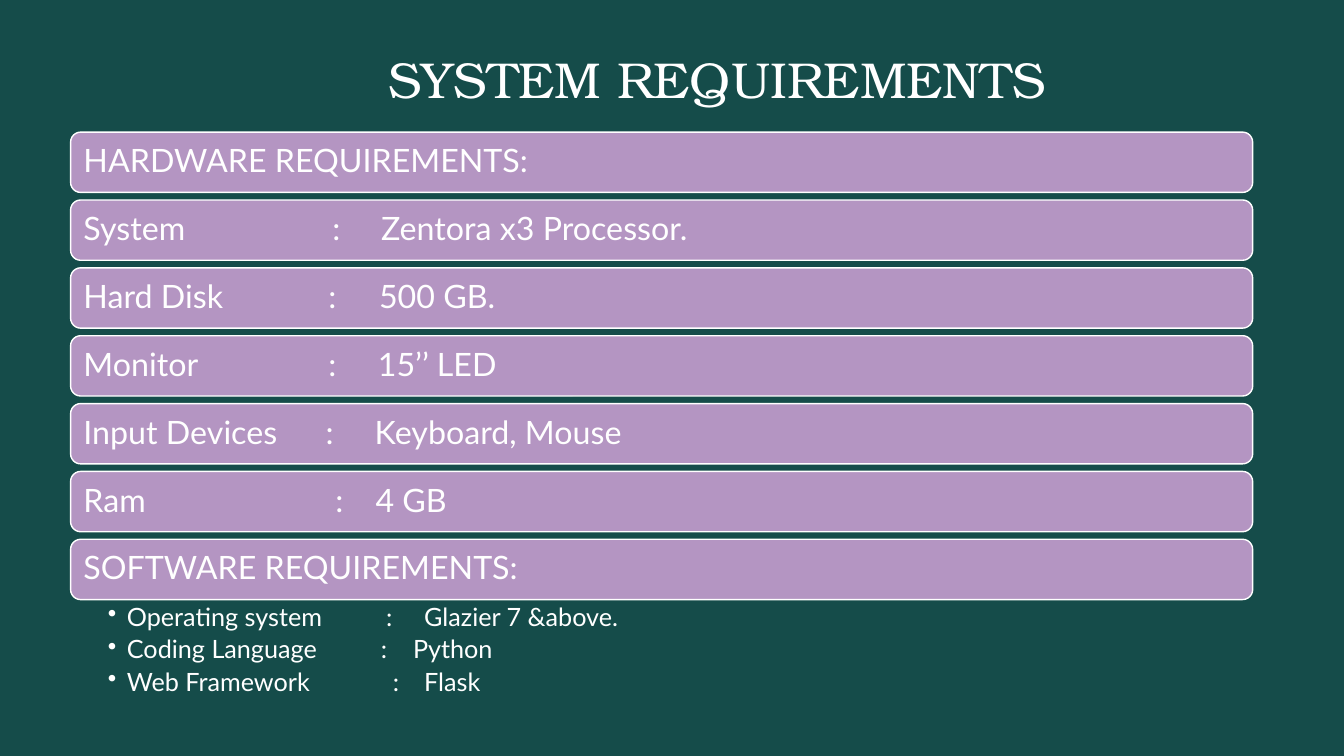
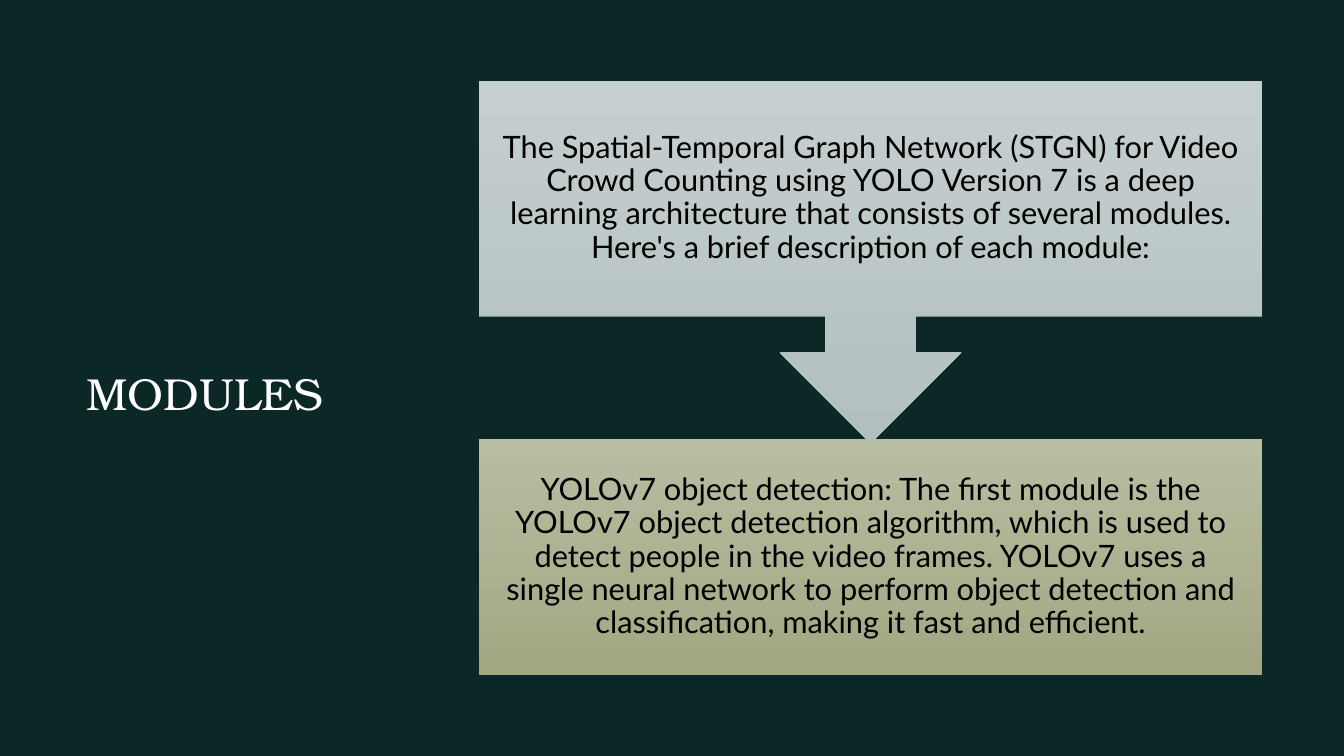
"""Build two slides: system requirements and modules."""
import pptx
import pptx.util
import pptx.dml.color
import pptx.enum.shapes
import pptx.enum.text
import lxml.etree

Cm, Pt = pptx.util.Cm, pptx.util.Pt
RGB = pptx.dml.color.RGBColor.from_string
SHAPE = pptx.enum.shapes.MSO_SHAPE
ANCHOR = pptx.enum.text.MSO_ANCHOR
ALIGN = pptx.enum.text.PP_ALIGN
NS = "{http://schemas.openxmlformats.org/drawingml/2006/main}"

COLORS = {
    "teal": "154C4A", "dark": "0B2827", "white": "FFFFFF", "black": "000000",
    "lilac": "B495C2", "mist": "C6CFCF", "mist_end": "B1BFBF",
    "olive": "B9BDA2", "olive_end": "A2A782",
}
TITLE = {"name": "TeX Gyre Bonum", "color": "white"}
BAR = {"name": "Lato", "size": Pt(23), "color": "white"}
BULLET = {"name": "Lato", "size": Pt(18), "color": "white"}
MODULE = {"name": "Lato", "size": Pt(22), "color": "black"}


def set_frame(tf, insets, anchor):
    left, top, right, bottom = insets
    values = {
        "word_wrap": True, "vertical_anchor": anchor,
        "margin_left": Cm(left), "margin_top": Cm(top),
        "margin_right": Cm(right), "margin_bottom": Cm(bottom),
    }
    for key, value in values.items():
        setattr(tf, key, value)


def write(p, text, font, stops=(), **layout):
    for key, value in layout.items():
        setattr(p, key, value)
    r = p.add_run()
    r.text = text
    for key, value in font.items():
        if key == "color":
            r.font.color.rgb = RGB(COLORS[value])
        else:
            setattr(r.font, key, value)
    if stops:
        tabs = lxml.etree.SubElement(p._p.get_or_add_pPr(), NS + "tabLst")
        for stop in stops:
            lxml.etree.SubElement(tabs, NS + "tab", pos=str(Cm(stop)), algn="l")


prs = pptx.Presentation()
prs.slide_width, prs.slide_height = Cm(33.87), Cm(19.05)

slides = []
for color, title, size, left, top, width in [
    ("teal", "SYSTEM REQUIREMENTS", 36, 9.78, 1.22, 18.3),
    ("dark", "MODULES", 32, 2.18, 9.22, 8.5),
]:
    s = prs.slides.add_slide(prs.slide_layouts[6])
    s.background.fill.solid()
    s.background.fill.fore_color.rgb = RGB(COLORS[color])
    tf = s.shapes.add_textbox(Cm(left), Cm(top), Cm(width), Cm(1.52)).text_frame
    set_frame(tf, (0, 0, 0, 0), ANCHOR.TOP)
    write(tf.paragraphs[0], title, {**TITLE, "size": Pt(size)})
    slides.append(s)
requirements, modules = slides

LEFT, TOP, WIDTH, HEIGHT, GAP = 1.78, 3.33, 29.79, 1.52, 0.19
bars = [
    ("HARDWARE REQUIREMENTS:", ()),
    ("System\t:\tZentora x3 Processor.", (6.27, 7.5)),
    ("Hard Disk\t:\t500 GB.", (6.17, 7.45)),
    ("Monitor\t:\t15’’ LED", (6.17, 7.42)),
    ("Input Devices\t:\tKeyboard, Mouse", (6.1, 7.34)),
    ("Ram\t:\t4 GB", (6.35, 7.36)),
    ("SOFTWARE REQUIREMENTS:", ()),
]
for i, (text, stops) in enumerate(bars):
    sp = requirements.shapes.add_shape(
        SHAPE.ROUNDED_RECTANGLE,
        Cm(LEFT), Cm(TOP + i * (HEIGHT + GAP)), Cm(WIDTH), Cm(HEIGHT))
    sp.shadow.inherit = False
    sp.fill.solid()
    sp.fill.fore_color.rgb = RGB(COLORS["lilac"])
    sp.line.color.rgb = RGB(COLORS["white"])
    sp.line.width = Pt(1)
    set_frame(sp.text_frame, (0.25, 0.25, 0.25, 0.25), ANCHOR.MIDDLE)
    write(sp.text_frame.paragraphs[0], text, BAR, stops,
          alignment=ALIGN.LEFT, line_spacing=0.9)

software = [
    ("Operating system\t:\tGlazier 7 &above.", (7.01, 7.97)),
    ("Coding Language\t:\tPython", (6.88, 7.69)),
    ("Web Framework\t:\tFlask", (7.18, 7.97)),
]
tf = requirements.shapes.add_textbox(
    Cm(LEFT), Cm(15.16), Cm(WIDTH), Cm(2.59)).text_frame
set_frame(tf, (0.94, 0.08, 0.46, 0.08), ANCHOR.TOP)
for i, (text, stops) in enumerate(software):
    p = tf.add_paragraph() if i else tf.paragraphs[0]
    p.line_spacing, p.space_after = 0.9, Pt(3.6)
    pPr = p._p.get_or_add_pPr()
    pPr.set("marL", str(Cm(0.48)))
    pPr.set("indent", str(-Cm(0.48)))
    lxml.etree.SubElement(pPr, NS + "buChar", char="•")
    write(p, text, BULLET, stops)

steps = [
    (SHAPE.RECTANGLE, 11.07, 5.94, "olive",
     "YOLOv7 object detection: The first module is the YOLOv7 object detection "
     "algorithm, which is used to detect people in the video frames. YOLOv7 uses "
     "a single neural network to perform object detection and classification, "
     "making it fast and efficient."),
    (SHAPE.DOWN_ARROW_CALLOUT, 2.03, 9.14, "mist",
     "The Spatial-Temporal Graph Network (STGN) for Video Crowd Counting using "
     "YOLO Version 7 is a deep learning architecture that consists of several "
     "modules. Here's a brief description of each module:"),
]
for kind, top, height, color, text in steps:
    sp = modules.shapes.add_shape(kind, Cm(12.07), Cm(top), Cm(19.74), Cm(height))
    sp.shadow.inherit = False
    sp.line.fill.background()
    sp.fill.gradient()
    sp.fill.gradient_angle = 270
    for stop, name in zip(sp.fill.gradient_stops, (color, color + "_end")):
        stop.color.rgb = RGB(COLORS[name])
    set_frame(sp.text_frame, (0.43, 0.43, 0.43, 0.43), ANCHOR.MIDDLE)
    write(sp.text_frame.paragraphs[0], text, MODULE,
          alignment=ALIGN.CENTER, line_spacing=0.9)

prs.save("out.pptx")
